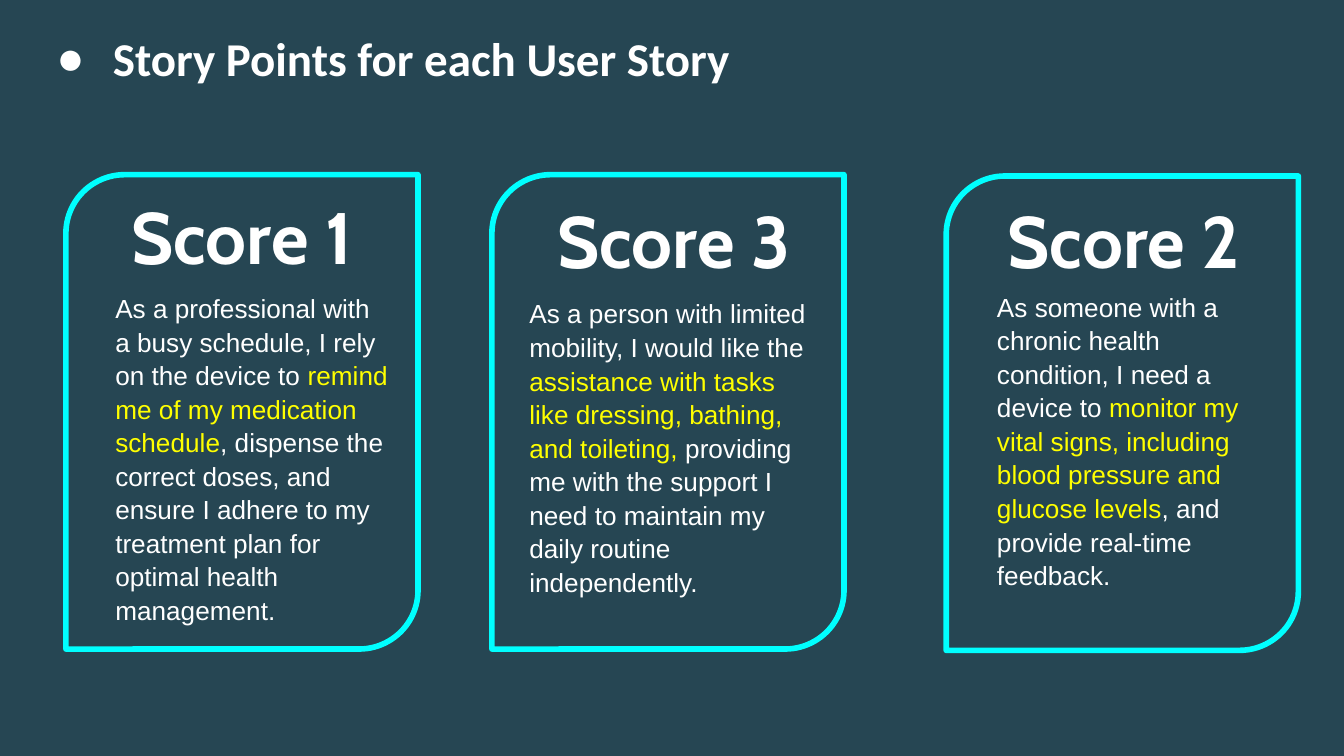
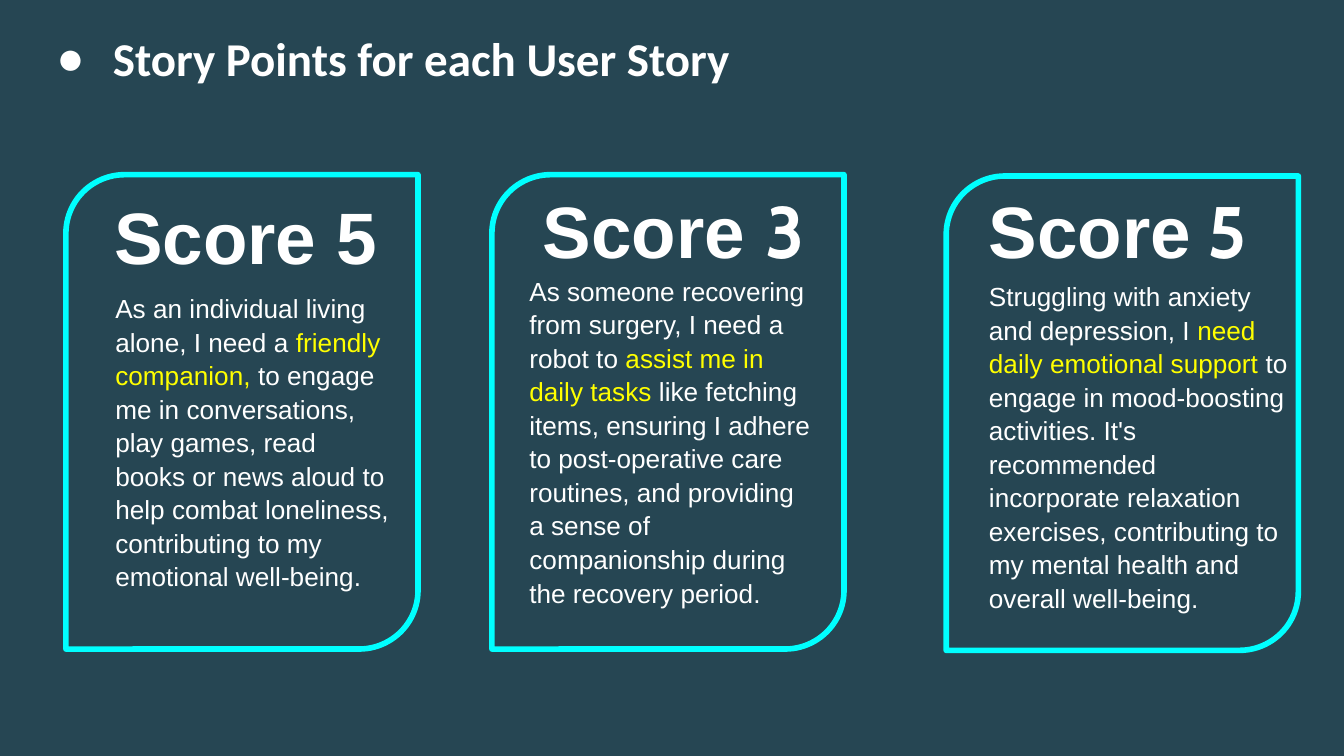
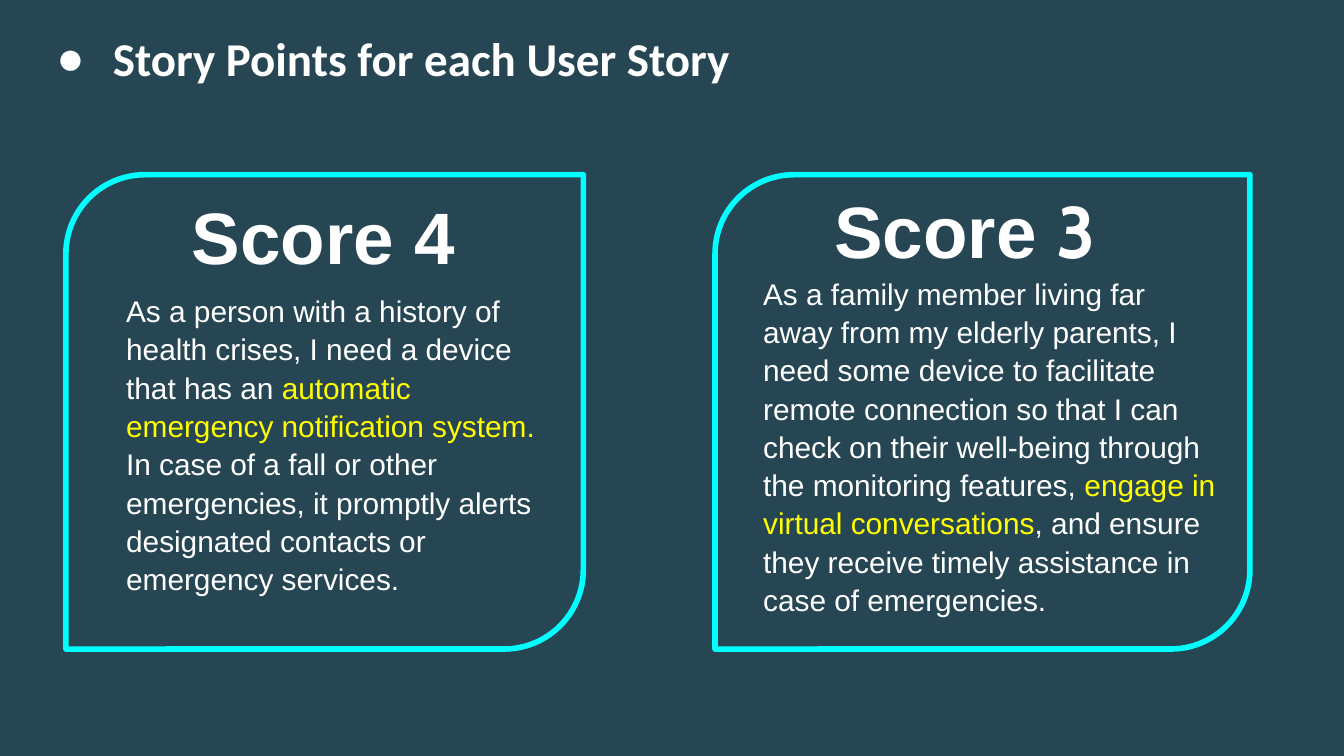
"""Build three slides of user stories with their story points."""
import dataclasses

import lxml.etree
import pptx
import pptx.dml.color
import pptx.enum.shapes
import pptx.enum.text
import pptx.oxml.ns
import pptx.util

Inches = pptx.util.Inches
Pt = pptx.util.Pt
RGB = pptx.dml.color.RGBColor.from_string
qn = pptx.oxml.ns.qn
FIT = pptx.enum.text.MSO_AUTO_SIZE.SHAPE_TO_FIT_TEXT


@dataclasses.dataclass(frozen=True)
class Theme:
    """Colours, fonts and type sizes."""
    back: str = "264653"
    text: str = "FFFFFF"
    mark: str = "FFFF00"
    edge: str = "00FFFF"
    edge_width: float = 3
    title_font: str = "Calibri"
    body_font: str = "Arial"
    score_font: str = "Cabin"
    title_size: float = 25.2
    score_size: float = 39
    story_size: float = 14
    large_size: float = 16


THEME = Theme()


@dataclasses.dataclass
class Card:
    """Places and words of one story card."""
    left: float
    score: tuple
    score_at: tuple
    story: tuple
    story_at: tuple
    indent: float = 0
    right: float = 0
    top: float = 1.3
    width: float = 2.62
    size: float = THEME.story_size


TITLE = "Story Points for each User Story"
ARIAL, CABIN = THEME.body_font, THEME.score_font
COLUMNS = (0.49, 3.66, 7.04)
LOW_TOP = 1.31
LARGE = THEME.large_size

DECK = (
    (
        Card(COLUMNS[0], (("Score 1", CABIN),), (0.88, 1.33, 2.62, 0.86),
             ("As a professional with a busy schedule, I rely on the device to ",
              "remind me of my medication schedule",
              ", dispense the correct doses, and ensure I adhere to my treatment "
              "plan for optimal health management."),
             (0.26, 2.06, 2.76, 3.12), indent=0.5, right=0.03),
        Card(COLUMNS[1], (("Score 3", CABIN),), (4.05, 1.36, 2.14, 0.86),
             ("As a person with limited mobility, I would like the ",
              "assistance with tasks like dressing, bathing, and toileting, ",
              "providing me with the support I need to maintain my daily routine "
              "independently."),
             (3.84, 2.1, 2.32, 2.46)),
        Card(COLUMNS[2], (("Score 2", CABIN),), (7.4, 1.36, 2.14, 0.86),
             ("As someone with a chronic health condition, I need a device to ",
              "monitor my vital signs, including blood pressure and glucose levels",
              ", and provide real-time feedback."),
             (6.82, 2.05, 2.8, 2.2), indent=0.5, right=0.15, top=LOW_TOP),
    ),
    (
        Card(COLUMNS[0], (("Score 5", ARIAL),), (0.75, 1.33, 2.45, 0.86),
             ("As an individual living alone, I need a ",
              "friendly companion,",
              " to engage me in conversations, play games, read books or news "
              "aloud to help combat loneliness, contributing to my emotional "
              "well-being."),
             (0.26, 2.06, 2.76, 2.82), indent=0.5),
        Card(COLUMNS[1], (("Score ", ARIAL), ("3", CABIN)), (3.94, 1.28, 2.32, 0.86),
             ("As someone recovering from surgery, I need a robot to",
              " assist me in daily tasks ",
              "like fetching items, ensuring I adhere to post-operative care "
              "routines, and providing a sense of companionship during the "
              "recovery period."),
             (3.84, 1.93, 2.32, 3.32)),
        Card(COLUMNS[2], (("Score", ARIAL), (" 5", CABIN)), (7.26, 1.28, 2.2, 0.86),
             ("Struggling with anxiety and depression, I ",
              "need daily emotional support ",
              "to engage in mood-boosting activities. It's recommended "
              "incorporate relaxation exercises, contributing to my mental health "
              "and overall well-being."),
             (7.26, 1.97, 2.45, 2.71), top=LOW_TOP),
    ),
    (
        Card(COLUMNS[0], (("Score 4", ARIAL),), (1.33, 1.33, 2.45, 0.86),
             ("As a person with a history of health crises, I need a device that "
              "has an ",
              "automatic emergency notification system.",
              " In case of a fall or other emergencies, it promptly alerts "
              "designated contacts or emergency services."),
             (0.84, 2.06, 3.35, 2.49), width=3.85, size=LARGE),
        Card(5.32, (("Score ", ARIAL), ("3", CABIN)), (6.11, 1.28, 2.32, 0.86),
             ("As a family member living far away from my elderly parents, I need "
              "some device to facilitate remote connection so that I can check on "
              "their well-being through the monitoring features, ",
              "engage in virtual conversations",
              ", and ensure they receive timely assistance in case of "
              "emergencies."),
             (5.58, 1.93, 3.62, 3.18), width=3.98, size=LARGE),
    ),
)


def add_box(slide, place, inset=(0.1, 0.1)):
    """Add a wrapping text box and return its frame."""
    frame = slide.shapes.add_textbox(*map(Inches, place)).text_frame
    frame.word_wrap = True
    frame.margin_left = frame.margin_right = Inches(inset[0])
    frame.margin_top = frame.margin_bottom = Inches(inset[1])
    return frame


def style_run(run, font, size, colour, bold=False):
    """Set the font, size, colour and weight of a run."""
    run.font.name = font
    run.font.size = Pt(size)
    run.font.bold = bold
    run.font.color.rgb = RGB(colour)


def add_run(para, text, *style, bold=False):
    """Append a styled run to a paragraph."""
    run = para.add_run()
    run.text = text
    style_run(run, *style, bold=bold)


def set_indent(para, left, first=0, right=0):
    """Set the margins and first-line indent of a paragraph."""
    props = para._p.get_or_add_pPr()
    for name, value in (("marL", left), ("marR", right), ("indent", first)):
        props.set(name, str(Inches(value)))
    return props


def add_title(slide):
    """Add the bulleted slide title."""
    frame = add_box(slide, (0.27, 0.13, 5.36, 0.55), (0.07, 0.04))
    frame.vertical_anchor = pptx.enum.text.MSO_ANCHOR.BOTTOM
    frame.text = TITLE
    para = frame.paragraphs[0]
    para.line_spacing = 1.08
    para.space_after = Pt(8)
    props = set_indent(para, 0.5, -0.42)
    tint = lxml.etree.SubElement(props, qn("a:buClr"))
    lxml.etree.SubElement(tint, qn("a:srgbClr"), val=THEME.text)
    lxml.etree.SubElement(props, qn("a:buFont"), typeface=THEME.body_font)
    lxml.etree.SubElement(props, qn("a:buChar"), char="●")
    style_run(para.runs[0], THEME.title_font, THEME.title_size, THEME.text, True)


def add_frame(slide, card):
    """Add the outlined card shape with two round corners."""
    kind = pptx.enum.shapes.MSO_SHAPE.ROUND_2_DIAG_RECTANGLE
    place = (card.left, card.top, card.width, 3.53)
    shape = slide.shapes.add_shape(kind, *map(Inches, place))
    shape.adjustments[0] = 0.167
    shape.adjustments[1] = 0
    shape.shadow.inherit = False
    shape.fill.solid()
    shape.fill.fore_color.rgb = RGB(THEME.back)
    shape.line.color.rgb = RGB(THEME.edge)
    shape.line.width = Pt(THEME.edge_width)
    lxml.etree.SubElement(shape.line._ln, qn("a:round"))


def add_story(slide, card):
    """Add the story text with its middle part marked."""
    frame = add_box(slide, card.story_at)
    frame.auto_size = FIT
    para = frame.paragraphs[0]
    para.line_spacing = 1.07
    set_indent(para, card.indent, right=card.right)
    for text, colour in zip(card.story, (THEME.text, THEME.mark, THEME.text)):
        add_run(para, text, ARIAL, card.size, colour)


def add_score(slide, card):
    """Add the score heading of a card."""
    frame = add_box(slide, card.score_at)
    frame.auto_size = FIT
    for text, font in card.score:
        add_run(frame.paragraphs[0], text, font, THEME.score_size, THEME.text,
                bold=True)


def add_slide(deck, cards):
    """Add one slide with its title and cards."""
    slide = deck.slides.add_slide(deck.slide_layouts[6])
    slide.background.fill.solid()
    slide.background.fill.fore_color.rgb = RGB(THEME.back)
    add_title(slide)
    for card in cards:
        add_frame(slide, card)
        add_story(slide, card)
        add_score(slide, card)


def main():
    """Build and save the deck."""
    deck = pptx.Presentation()
    deck.slide_width = Inches(10)
    deck.slide_height = deck.slide_width * 9 // 16
    for cards in DECK:
        add_slide(deck, cards)
    deck.save("out.pptx")


if __name__ == "__main__":
    main()
